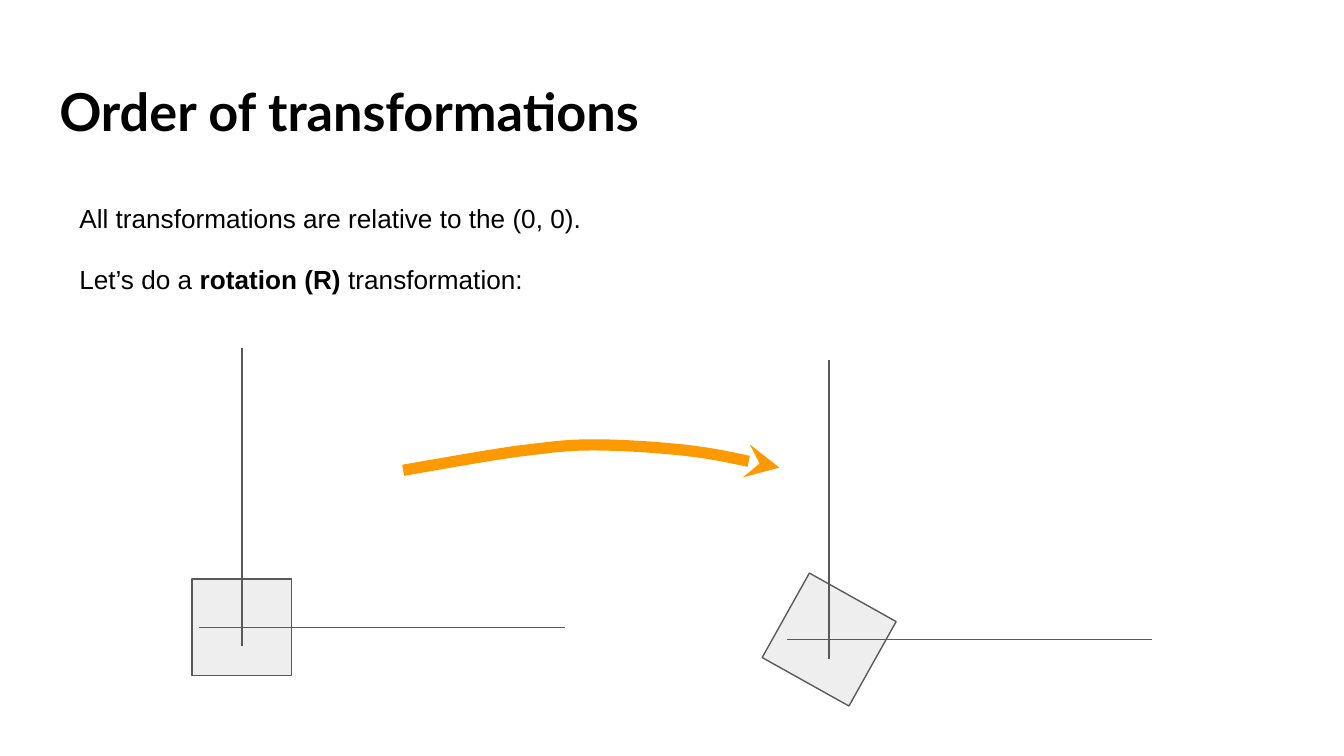
"""Build a slide showing a square rotated about the origin."""
from lxml import etree
from pptx import Presentation
from pptx import util as u
from pptx.dml.color import RGBColor
from pptx.enum import shapes, text
from pptx.oxml.ns import qn

BLACK = RGBColor(0x00, 0x00, 0x00)
WHITE = RGBColor(0xFF, 0xFF, 0xFF)
GRAY = RGBColor(0x59, 0x59, 0x59)
LIGHT_GRAY = RGBColor(0xEE, 0xEE, 0xEE)
ORANGE = RGBColor(0xFF, 0x99, 0x00)


def add_run(paragraph, words, font, size, bold):
    run = paragraph.add_run()
    run.text = words
    run.font.name = font
    run.font.size = u.Pt(size)
    run.font.bold = bold
    run.font.color.rgb = BLACK


def prepare_frame(shape):
    frame = shape.text_frame
    frame.word_wrap = True
    frame.auto_size = text.MSO_AUTO_SIZE.NONE
    frame.vertical_anchor = text.MSO_ANCHOR.TOP
    frame.margin_left = frame.margin_right = u.Cm(0.25)
    frame.margin_top = frame.margin_bottom = u.Cm(0.25)
    return frame


presentation = Presentation()
presentation.slide_width = u.Cm(25.4)
presentation.slide_height = u.Cm(14.29)
slide = presentation.slides.add_slide(presentation.slide_layouts[5])
slide.background.fill.solid()
slide.background.fill.fore_color.rgb = WHITE

title = slide.shapes.title
title.left, title.top = u.Cm(0.87), u.Cm(1.24)
title.width, title.height = u.Cm(23.67), u.Cm(1.6)
paragraph = prepare_frame(title).paragraphs[0]
paragraph.alignment = text.PP_ALIGN.LEFT
add_run(paragraph, "Order of transformations", "Lato", 28, True)

body = slide.shapes.add_textbox(u.Cm(1.25), u.Cm(3.58), u.Cm(12.27), u.Cm(2.26))
frame = prepare_frame(body)
add_run(frame.paragraphs[0], "All transformations are relative to the (0, 0).", "Arial", 14, False)
paragraph = frame.add_paragraph()
paragraph.space_before = u.Pt(16)
for words, bold in (("Let’s do a ", False), ("rotation (R)", True), (" transformation:", False)):
    add_run(paragraph, words, "Arial", 14, bold)

SQUARE_WIDTH, SQUARE_HEIGHT = 1.88, 1.83
for origin_x, origin_y, angle in ((4.57, 11.86, 0), (15.67, 12.09, 29.2)):
    square = slide.shapes.add_shape(
        shapes.MSO_SHAPE.RECTANGLE,
        u.Cm(origin_x - SQUARE_WIDTH / 2), u.Cm(origin_y - SQUARE_HEIGHT / 2),
        u.Cm(SQUARE_WIDTH), u.Cm(SQUARE_HEIGHT))
    square.rotation = angle
    square.shadow.inherit = False
    square.fill.solid()
    square.fill.fore_color.rgb = LIGHT_GRAY
    square.line.color.rgb = GRAY
    square.line.width = u.Pt(0.75)
    for start_x, start_y, end_x, end_y in ((0, -5.28, 0, 0.36), (6.1, 0, -0.8, 0)):
        axis = slide.shapes.add_connector(
            shapes.MSO_CONNECTOR.STRAIGHT,
            u.Cm(origin_x + start_x), u.Cm(origin_y + start_y),
            u.Cm(origin_x + end_x), u.Cm(origin_y + end_y))
        axis.line.color.rgb = GRAY
        axis.line.width = u.Pt(0.75)
        etree.SubElement(axis._element.spPr, qn("a:effectLst"))

curve_points = [
    (7.62, 8.89), (7.98, 8.83), (9.19, 8.61), (9.78, 8.53),
    (10.38, 8.46), (10.68, 8.41), (11.2, 8.41),
    (11.73, 8.41), (12.34, 8.45), (12.93, 8.51),
    (13.53, 8.58), (14.43, 8.78), (14.73, 8.84)]
points = [(u.Cm(x), u.Cm(y)) for x, y in curve_points]
builder = slide.shapes.build_freeform(*points[0])
builder.add_line_segments(points[1:], close=False)
arrow = builder.convert_to_shape()
arrow.shadow.inherit = False
arrow.fill.background()
arrow.line.color.rgb = ORANGE
arrow.line.width = u.Pt(6)
etree.SubElement(arrow.line._get_or_add_ln(), qn("a:tailEnd"), type="stealth")

segments = list(arrow._element.iter(qn("a:lnTo")))
outline = segments[0].getparent()
for first in range(0, len(segments), 3):
    bezier = etree.SubElement(outline, qn("a:cubicBezTo"))
    for segment in segments[first:first + 3]:
        bezier.append(segment[0])
        outline.remove(segment)

presentation.save("out.pptx")
